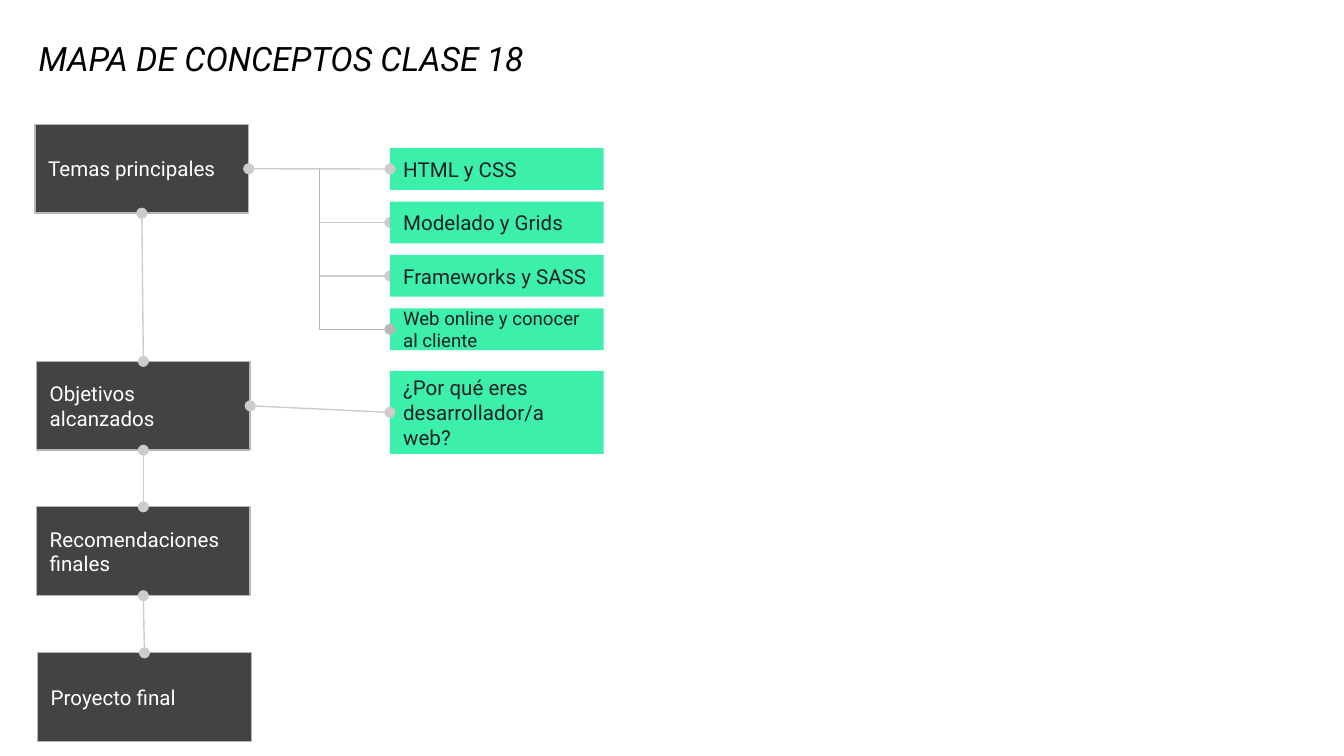
from lxml import etree
from pptx import Presentation
from pptx.dml.color import RGBColor
from pptx.enum.shapes import MSO_CONNECTOR, MSO_SHAPE
from pptx.enum.text import MSO_ANCHOR, PP_ALIGN
from pptx.oxml.ns import qn
from pptx.util import Cm, Pt

BLACK = RGBColor(0x00, 0x00, 0x00)
WHITE = RGBColor(0xFF, 0xFF, 0xFF)
INK = RGBColor(0x22, 0x22, 0x22)
CHARCOAL = RGBColor(0x43, 0x43, 0x43)
GREEN = RGBColor(0x3C, 0xEF, 0xAB)
GREY = RGBColor(0xB7, 0xB7, 0xB7)
LIGHT_GREY = RGBColor(0xCC, 0xCC, 0xCC)

STRAIGHT, ELBOW = MSO_CONNECTOR.STRAIGHT, MSO_CONNECTOR.ELBOW
RECTANGLE = MSO_SHAPE.RECTANGLE
MIDDLE, BOTTOM = MSO_ANCHOR.MIDDLE, MSO_ANCHOR.BOTTOM
LEFT = PP_ALIGN.LEFT
TOP_SIDE, LEFT_SIDE, BOTTOM_SIDE, RIGHT_SIDE = range(4)

FONT = "Roboto"
INSET = Cm(0.25)
STAGES = [
    ("Temas principales", 0.66, 2.35),
    ("Objetivos alcanzados", 0.69, 6.83),
    ("Recomendaciones finales", 0.69, 9.58),
    ("Proyecto final", 0.71, 12.34),
]
TOPICS = [
    ("HTML y CSS", 11),
    ("Modelado y Grids", 11),
    ("Frameworks y SASS", 11),
    ("Web online y conocer al cliente", 10),
]


def write(shape, text, size, color, anchor, italic=None):
    """Put one left-aligned paragraph in a shape."""
    frame = shape.text_frame
    frame.word_wrap = True
    frame.vertical_anchor = anchor
    frame.margin_left = frame.margin_right = INSET
    frame.margin_top = frame.margin_bottom = INSET
    para = frame.paragraphs[0]
    para.text = text
    para.alignment = LEFT
    para.font.name = FONT
    para.font.size = Pt(size)
    para.font.italic = italic
    para.font.color.rgb = color


def add_card(page, box, text, size, fill, color, outline=None):
    """Add a filled rectangle with a label."""
    card = page.shapes.add_shape(RECTANGLE, *box)
    card.shadow.inherit = False
    card.fill.solid()
    card.fill.fore_color.rgb = fill
    if outline is None:
        card.line.fill.background()
    else:
        card.line.color.rgb = outline
        card.line.width = Pt(0.75)
    write(card, text, size, color, MIDDLE)
    return card


def add_link(page, start, end, kind=STRAIGHT, color=LIGHT_GREY, dots=("headEnd", "tailEnd")):
    """Add a thin connector with round dots at the named ends."""
    link = page.shapes.add_connector(kind, *start, *end)
    link.line.color.rgb = color
    link.line.width = Pt(0.75)
    outline = link.line._get_or_add_ln()
    for dot in dots:
        etree.SubElement(outline, qn(f"a:{dot}"), type="oval")
    etree.SubElement(link._element.spPr, qn("a:effectLst"))
    return link


def join(page, first, first_side, second, second_side):
    """Link the side middles of two cards."""
    link = add_link(page, (first.left, first.top), (second.left, second.top))
    link.begin_connect(first, first_side)
    link.end_connect(second, second_side)


def add_title(page, box):
    """Place the slide title at the bottom of its box."""
    title = page.shapes.add_textbox(*box)
    write(title, "MAPA DE CONCEPTOS CLASE 18", 18, BLACK, BOTTOM, True)


def add_stages(page, width, height):
    """Place the chain of dark cards and return them."""
    cards = [
        add_card(page, (Cm(left), Cm(top), width, height), text, 11, CHARCOAL, WHITE, GREY)
        for text, left, top in STAGES
    ]
    for upper, lower in zip(cards, cards[1:]):
        join(page, upper, BOTTOM_SIDE, lower, TOP_SIDE)
    return cards


def add_topics(page, box, stage):
    """Place the green topic cards and branch them from a stage."""
    left, top, width, height = box
    card_height = Cm(0.79)
    pitch = (height - card_height) // (len(TOPICS) - 1)
    origin = (stage.left + stage.width, stage.top + stage.height // 2)
    trunk = (origin[0] + left) // 2
    last = len(TOPICS) - 1
    for index, (text, size) in enumerate(TOPICS):
        card_top = top + index * pitch
        target = (left, card_top + card_height // 2)
        branch = None
        if 0 < index < last:
            branch = add_link(page, origin, target, ELBOW, dots=("tailEnd",))
            branch.begin_connect(stage, RIGHT_SIDE)
        card = add_card(page, (left, card_top, width, card_height), text, size, GREEN, INK)
        if index == 0:
            join(page, stage, RIGHT_SIDE, card, LEFT_SIDE)
        elif index == last:
            corner = (trunk, target[1])
            add_link(page, (trunk, origin[1]), corner, color=GREY, dots=())
            branch = add_link(page, corner, target, color=GREY, dots=("tailEnd",))
        if branch is not None:
            branch.end_connect(card, LEFT_SIDE)


def add_goal(page, box, stage):
    """Place the closing question and join it to its stage."""
    card = add_card(page, box, "¿Por qué eres desarrollador/a web?", 11, GREEN, INK)
    join(page, stage, RIGHT_SIDE, card, LEFT_SIDE)


def main():
    """Build the concept map slide."""
    deck = Presentation()
    deck.slide_width, deck.slide_height = Cm(25.4), Cm(14.29)
    page = deck.slides.add_slide(deck.slide_layouts[6])
    card_width = Cm(4.04)
    add_title(page, (Cm(0.48), Cm(0.56), Cm(20.98), Cm(1.17)))
    stages = add_stages(page, card_width, Cm(1.68))
    add_topics(page, (Cm(7.37), Cm(2.8), card_width, Cm(3.82)), stages[0])
    add_goal(page, (Cm(7.37), Cm(7.01), card_width, Cm(1.57)), stages[1])
    deck.save("out.pptx")


if __name__ == "__main__":
    main()
